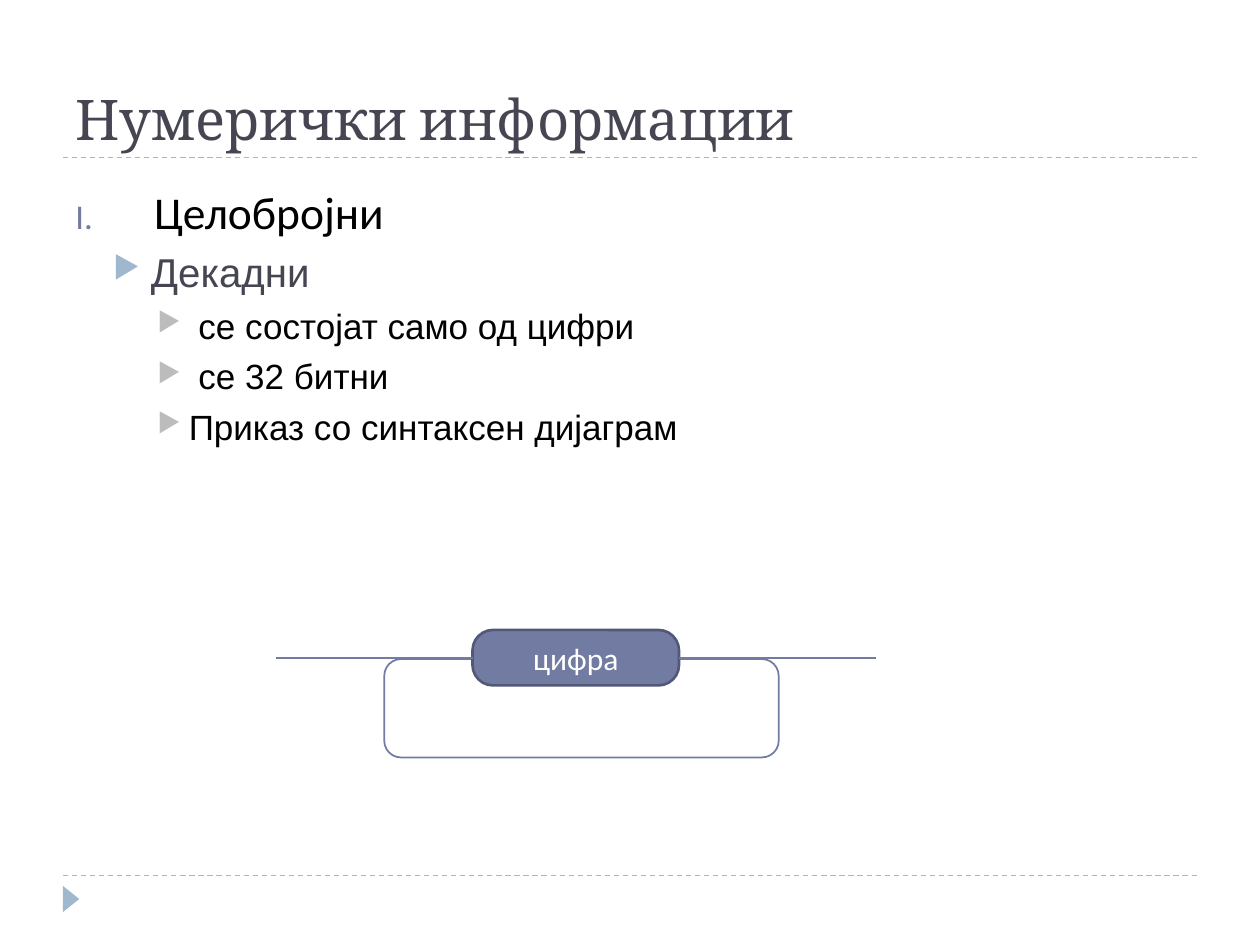
from lxml import etree
from pptx import Presentation
from pptx.dml.color import RGBColor
from pptx.enum.dml import MSO_LINE
from pptx.enum.shapes import MSO_CONNECTOR, MSO_SHAPE
from pptx.enum.text import MSO_ANCHOR, PP_ALIGN
from pptx.oxml.ns import qn
from pptx.util import Pt

STRAIGHT = MSO_CONNECTOR.STRAIGHT
ROUNDED = MSO_SHAPE.ROUNDED_RECTANGLE
TRIANGLE = MSO_SHAPE.ISOSCELES_TRIANGLE
DASH = MSO_LINE.DASH
BOTTOM, MIDDLE = MSO_ANCHOR.BOTTOM, MSO_ANCHOR.MIDDLE
CENTER = PP_ALIGN.CENTER
COLORS = {name: RGBColor.from_string(value) for name, value in {
    "white": "FFFFFF", "black": "000000", "title": "464653", "accent": "727CA3",
    "edge": "525977", "pale": "9FB8CD", "grey": "BCBCBC"}.items()}

prs = Presentation()
prs.slide_width, prs.slide_height = Pt(720), Pt(540)
s = prs.slides.add_slide(prs.slide_layouts[6])


def add_line(x1, x2, y, color, width):
    line = s.shapes.add_connector(STRAIGHT, Pt(x1), Pt(y), Pt(x2), Pt(y))
    line.line.color.rgb = COLORS[color]
    line.line.width = Pt(width)
    etree.SubElement(line._element.spPr, qn("a:effectLst"))
    return line


def style_run(p, size, font, color):
    r = p.runs[0]
    r.font.size = Pt(size)
    r.font.name = font
    r.font.color.rgb = COLORS[color]


# Dashed rules and corner marker
for y in (500.4, 90):
    add_line(36, 684, y, "pale", 0.75).line.dash_style = DASH
marker = s.shapes.add_shape(TRIANGLE, Pt(33.1), Pt(509), Pt(15), Pt(9.4))
marker.rotation = 90
marker.shadow.inherit = False
marker.fill.solid()
marker.fill.fore_color.rgb = COLORS["pale"]
marker.line.fill.background()

# Title
tf = s.shapes.add_textbox(Pt(36), Pt(12.2), Pt(648), Pt(77.8)).text_frame
tf.word_wrap = True
tf.vertical_anchor = BOTTOM
tf.text = "Нумерички информации"
style_run(tf.paragraphs[0], 32, "Cambria", "title")

# Outline: text, level, left margin, hanging, space before, size, font, colour, bullet colour
detail = (2, 64.8, 18, 5, 20, "Arial", "black", "grey")
outline = [
    ("Целобројни", 0, 45, 45, 6, 26, "Calibri", "black", "accent"),
    ("Декадни", 1, 43.2, 21.6, 5, 23, "Arial", "title", "pale"),
    (" се состојат само од цифри", *detail),
    (" се 32 битни", *detail),
    ("Приказ со синтаксен дијаграм", *detail),
]
tf = s.shapes.add_textbox(Pt(36), Pt(101.5), Pt(648), Pt(382.3)).text_frame
tf.word_wrap = True
tf.text = "\n".join(row[0] for row in outline)
for p, row in zip(tf.paragraphs, outline):
    text, level, margin, hanging, before, size, font, color, bullet_color = row
    p.level = level
    p.space_before = Pt(before)
    style_run(p, size, font, color)
    pPr = p._p.get_or_add_pPr()
    pPr.set("marL", str(Pt(margin)))
    pPr.set("indent", str(-Pt(hanging)))
    bullet = etree.SubElement(pPr, qn("a:buClr"))
    etree.SubElement(bullet, qn("a:srgbClr"), val=str(COLORS[bullet_color]))
    etree.SubElement(pPr, qn("a:buSzPct"), val="76000")
    if level == 0:
        etree.SubElement(pPr, qn("a:buFont"), typeface=font)
        etree.SubElement(pPr, qn("a:buAutoNum"), type="romanUcPeriod")
    else:
        etree.SubElement(pPr, qn("a:buChar"), char="▶")

# Syntax diagram: loop behind the digit box
boxes = []
for x, y, w, h, adj, fill, edge, width in (
        (219.6, 376.6, 225.4, 56.2, 0.17, "white", "accent", 1),
        (270, 360, 118, 31.7, 0.37, "accent", "edge", 1.5)):
    sp = s.shapes.add_shape(ROUNDED, Pt(x), Pt(y), Pt(w), Pt(h))
    sp.adjustments[0] = adj
    sp.shadow.inherit = False
    sp.fill.solid()
    sp.fill.fore_color.rgb = COLORS[fill]
    sp.line.color.rgb = COLORS[edge]
    sp.line.width = Pt(width)
    boxes.append(sp)
digit = boxes[-1]
tf = digit.text_frame
tf.word_wrap = False
tf.vertical_anchor = MIDDLE
tf.text = "цифра"
p = tf.paragraphs[0]
p.alignment = CENTER
style_run(p, 18, "Calibri", "white")

# Entry and exit lines
add_line(157.7, 270, 375.85, "accent", 1).end_connect(digit, 1)
add_line(388, 500.4, 375.85, "accent", 1).begin_connect(digit, 3)

prs.save("out.pptx")
